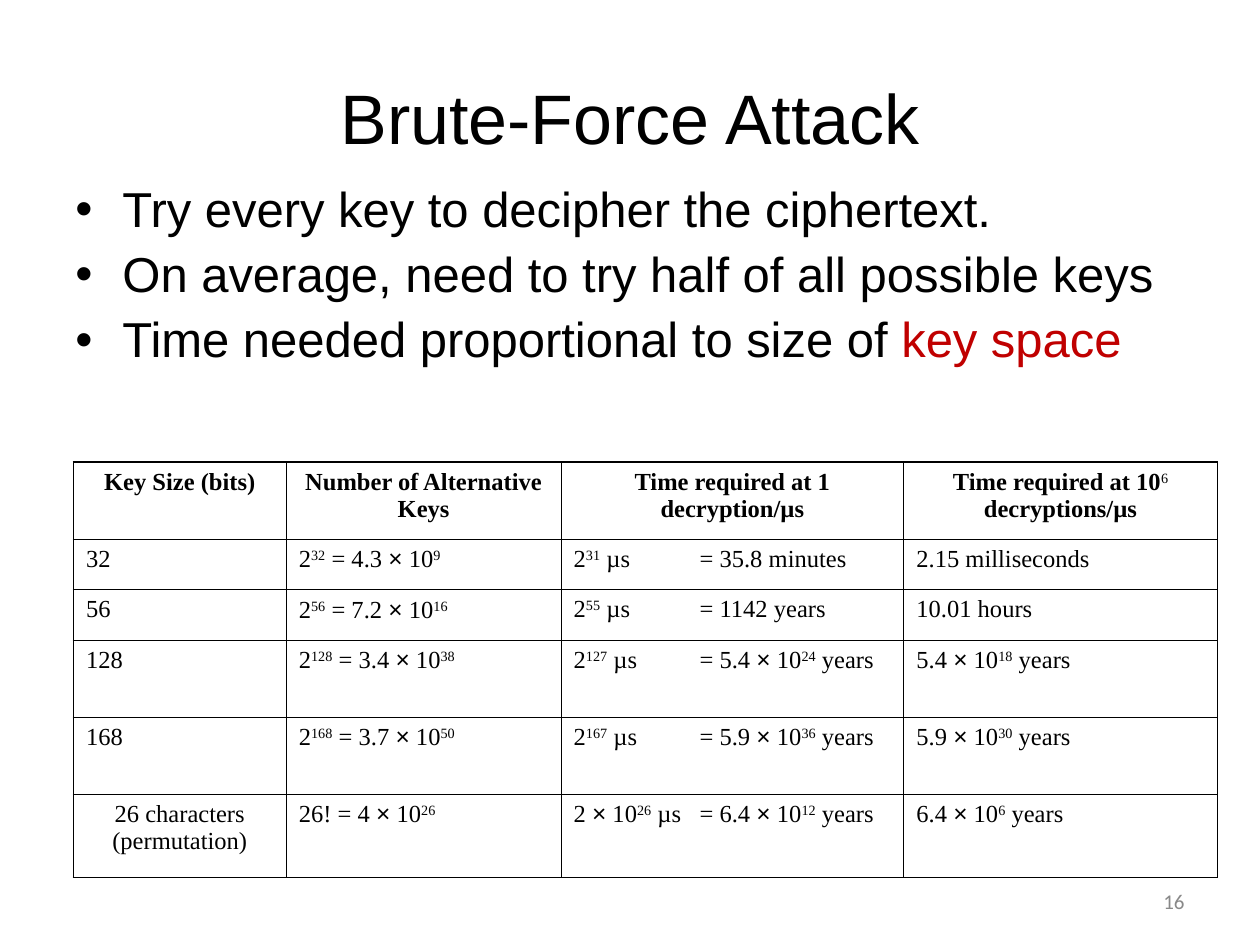
from pptx import Presentation
from pptx.dml.color import RGBColor
from pptx.enum.text import MSO_ANCHOR, PP_ALIGN
from pptx.oxml.ns import qn
from pptx.util import Cm, Pt
from lxml.etree import SubElement

TITLE = "Brute-Force Attack"
POINTS = [
    [("Try every key to decipher the ciphertext.", "000000")],
    [("On average, need to try half of all possible keys", "000000")],
    [("Time needed proportional to size of ", "000000"), ("key space", "C00000")],
]
# ^ ^ encloses a superscript
ROWS = [
    ("Key Size (bits)", "Number of Alternative Keys",
     "Time required at 1 decryption/µs", "Time required at 10^6^ decryptions/µs"),
    ("32", "2^32^ = 4.3 × 10^9^", "2^31^ µs\t= 35.8 minutes", "2.15 milliseconds"),
    ("56", "2^56^ = 7.2 × 10^16^", "2^55^ µs\t= 1142 years", "10.01 hours"),
    ("128", "2^128^ = 3.4 × 10^38^", "2^127^ µs\t= 5.4 × 10^24^ years",
     "5.4 × 10^18^ years"),
    ("168", "2^168^ = 3.7 × 10^50^", "2^167^ µs\t= 5.9 × 10^36^ years",
     "5.9 × 10^30^ years"),
    ("26 characters (permutation)", "26! = 4 × 10^26^",
     "2 × 10^26^ µs\t= 6.4 × 10^12^ years", "6.4 × 10^6^ years"),
]
WIDTHS = [4.29, 5.54, 6.91, 6.32]
HEIGHTS = [1.55, 1.02, 1.02, 1.55, 1.55, 1.68]
THICK, THIN = Pt(1.08), Pt(0.45)


def add_run(para, text, size, face="Arial", color="000000", bold=False):
    run = para.add_run()
    run.text = text
    font = run.font
    font.size, font.name, font.bold = Pt(size), face, bold
    font.color.rgb = RGBColor.from_string(color)
    return run


def place(shape, left, top, width, height):
    shape.left, shape.top = Cm(left), Cm(top)
    shape.width, shape.height = Cm(width), Cm(height)


def add_box(slide, left, top, width, height):
    box = slide.shapes.add_textbox(Cm(left), Cm(top), Cm(width), Cm(height))
    box.text_frame.word_wrap = True
    return box.text_frame


def add_bullet(para):
    props = para._p.get_or_add_pPr()
    props.set("marL", str(Cm(0.95)))
    props.set("indent", str(-Cm(0.95)))
    SubElement(props, qn("a:buFont")).set("typeface", "Arial")
    SubElement(props, qn("a:buChar")).set("char", "•")


def add_tab(para):
    tabs = SubElement(para._p.get_or_add_pPr(), qn("a:tabLst"))
    tab = SubElement(tabs, qn("a:tab"))
    tab.set("pos", str(Cm(2.54)))
    tab.set("algn", "l")


def add_math(para, text, bold):
    for part, piece in enumerate(text.split("^")):
        power = part % 2 == 1
        head, sign, tail = piece.partition("×")
        for word, face in ((head, "Times New Roman"), (sign, "Arial"),
                           (tail, "Times New Roman")):
            if word:
                run = add_run(para, word, 14, face, bold=bold and not power)
                if power:
                    run._r.get_or_add_rPr().set("baseline", "30000")


def add_edges(cell, row, col):
    edges = {"L": col == 0, "R": col == len(WIDTHS) - 1,
             "T": row == 0, "B": row == len(HEIGHTS) - 1}
    props = cell._tc.get_or_add_tcPr()
    for side, outer in edges.items():
        line = SubElement(props, qn("a:ln" + side))
        line.set("w", str(THICK if outer else THIN))
        fill = SubElement(line, qn("a:solidFill"))
        SubElement(fill, qn("a:srgbClr")).set("val", "000000")


def add_grid(slide):
    table = slide.shapes.add_table(
        len(ROWS), len(WIDTHS), Cm(1.48), Cm(9.32),
        Cm(sum(WIDTHS)), Cm(sum(HEIGHTS))).table
    table.first_row = table.horz_banding = False
    for col, width in enumerate(WIDTHS):
        table.columns[col].width = Cm(width)
    for row, texts in enumerate(ROWS):
        table.rows[row].height = Cm(HEIGHTS[row])
        for col, text in enumerate(texts):
            cell = table.cell(row, col)
            add_edges(cell, row, col)
            cell.fill.background()
            para = cell.text_frame.paragraphs[0]
            if "\t" in text:
                add_tab(para)
            if row == 0 or "(permutation)" in text:
                para.alignment = PP_ALIGN.CENTER
            add_math(para, text, row == 0)


def main():
    deck = Presentation()
    deck.slide_width, deck.slide_height = Cm(25.4), Cm(19.05)
    slide = deck.slides.add_slide(deck.slide_layouts[5])

    title = slide.shapes.title
    place(title, 1.27, 0.76, 22.86, 3.18)
    title.text_frame.vertical_anchor = MSO_ANCHOR.MIDDLE
    para = title.text_frame.paragraphs[0]
    para.alignment = PP_ALIGN.CENTER
    add_run(para, TITLE, 40)

    body = add_box(slide, 1.27, 3.61, 22.86, 5.08)
    for index, point in enumerate(POINTS):
        para = body.add_paragraph() if index else body.paragraphs[0]
        add_bullet(para)
        para.line_spacing = 0.9
        para.space_before = Pt(7 if index else 0)
        for text, color in point:
            add_run(para, text, 28, color=color)

    add_grid(slide)

    number = add_box(slide, 18.2, 17.65, 5.93, 1.02)
    number.vertical_anchor = MSO_ANCHOR.MIDDLE
    para = number.paragraphs[0]
    para.alignment = PP_ALIGN.RIGHT
    add_run(para, "16", 12, "Calibri", "898989")

    deck.save("out.pptx")


if __name__ == "__main__":
    main()
